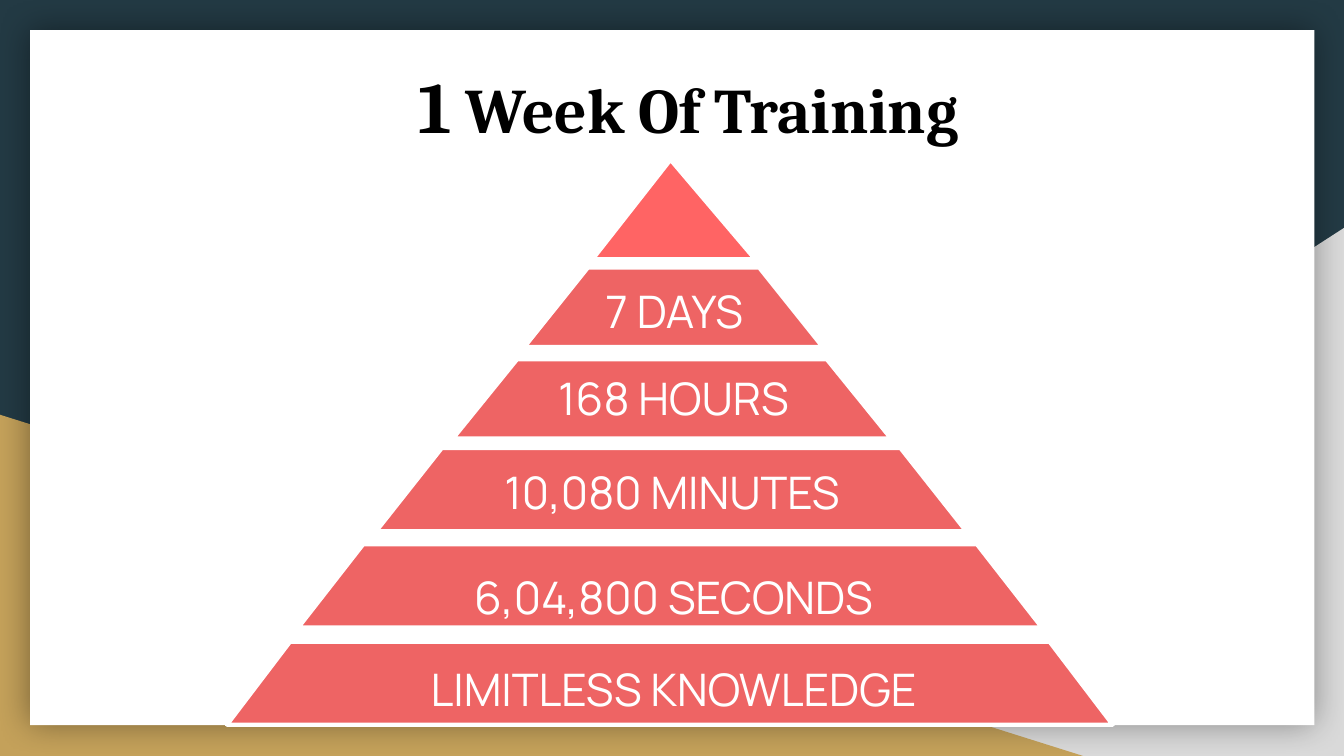
"""Build a slide with a pyramid that breaks one week of training into smaller units."""
import lxml.etree
import pptx
import pptx.dml.color
import pptx.enum.shapes
import pptx.enum.text
import pptx.oxml.ns
import pptx.util

Cm = pptx.util.Cm
Pt = pptx.util.Pt
SHAPE = pptx.enum.shapes.MSO_SHAPE
ANCHOR = pptx.enum.text.MSO_ANCHOR
CENTER = pptx.enum.text.PP_ALIGN.CENTER


def rgb(value):
    """Return the colour for a hex string."""
    return pptx.dml.color.RGBColor.from_string(value)


def add_block(preset, left, top, width, height, fill, outline=None):
    """Add a filled shape without shadow, in centimetres."""
    block = slide.shapes.add_shape(preset, Cm(left), Cm(top), Cm(width), Cm(height))
    block.shadow.inherit = False
    block.fill.solid()
    block.fill.fore_color.rgb = rgb(fill)
    if outline:
        block.line.color.rgb = rgb(outline)
        block.line.width = Pt(2.25)
    else:
        block.line.fill.background()
    return block


deck = pptx.Presentation()
deck.slide_width = Cm(25.4)
deck.slide_height = Cm(14.29)
slide = deck.slides.add_slide(deck.slide_layouts[5])
slide.background.fill.solid()
slide.background.fill.fore_color.rgb = rgb("233A44")

grey_corner = add_block(SHAPE.RIGHT_TRIANGLE, 9.96, 4.31, 15.44, 9.98, "D9D9D9")
grey_corner._element.spPr.find(pptx.oxml.ns.qn("a:xfrm")).set("flipH", "1")
add_block(SHAPE.RIGHT_TRIANGLE, 0, 7.84, 20.47, 6.45, "C4A15A")

panel = add_block(SHAPE.RECTANGLE, 0.57, 0.57, 24.27, 13.14, "FFFFFF")
effects = panel._element.spPr.find(pptx.oxml.ns.qn("a:effectLst"))
glow = lxml.etree.SubElement(effects, pptx.oxml.ns.qn("a:outerShdw"),
                             blurRad=str(Pt(18)), dist="0", algn="ctr", rotWithShape="0")
shade = lxml.etree.SubElement(glow, pptx.oxml.ns.qn("a:srgbClr"), val="000000")
lxml.etree.SubElement(shade, pptx.oxml.ns.qn("a:alpha"), val="40000")

peak = add_block(SHAPE.ISOSCELES_TRIANGLE, 11.2, 3.02, 3.07, 1.88, "FF6464", "FFFFFF")
peak.adjustments[0] = 0.48

tiers = [
    ("7 DAYS", (9.91, 5.06, 5.64, 1.5), 0.8, (10.44, 5.27, 4.6, 1.22), 1),
    ("168 HOURS", (8.56, 6.79, 8.28, 1.5), 0.81, (9.91, 6.9, 5.64, 1.22), 1),
    ("10,080 MINUTES", (7.11, 8.47, 11.15, 1.57), 0.79, (8.56, 8.68, 8.28, 1.22), 1),
    ("6,04,800 SECONDS", (5.64, 10.29, 14.05, 1.57), 0.78, (3.41, 9.91, 18.64, 2.64), 1.1),
    ("LIMITLESS KNOWLEDGE", (4.29, 12.13, 16.74, 1.57), 0.76, (3.41, 11.65, 18.64, 2.64), 1.1),
]
for wording, tier_box, slant, label_box, spacing in tiers:
    tier = add_block(SHAPE.TRAPEZOID, *tier_box, "EE6464", "FFFFFF")
    tier.adjustments[0] = slant
    label = slide.shapes.add_textbox(*map(Cm, label_box)).text_frame
    label.word_wrap = True
    label.vertical_anchor = ANCHOR.MIDDLE
    label.margin_left = label.margin_right = label.margin_top = label.margin_bottom = 0
    line = label.paragraphs[0]
    line.text = wording
    line.alignment = CENTER
    line.line_spacing = spacing
    line.font.name = "Manrope"
    line.font.size = Pt(24)
    line.font.color.rgb = rgb("FFFFFF")

title = slide.shapes.title
slide.shapes._spTree.append(title._element)
title.left, title.top, title.width, title.height = Cm(0.66), Cm(0.89), Cm(24.71), Cm(2.18)
heading = title.text_frame
heading.word_wrap = True
heading.auto_size = pptx.enum.text.MSO_AUTO_SIZE.NONE
heading.vertical_anchor = ANCHOR.TOP
heading.margin_left = heading.margin_right = heading.margin_top = heading.margin_bottom = Cm(0.25)
heading_line = heading.paragraphs[0]
heading_line.alignment = CENTER
heading_line.font.name = "Cambria"
heading_line.font.bold = True
heading_line.font.color.rgb = rgb("000000")
for wording, size in [("1", 39), (" Week Of Training", 34)]:
    run = heading_line.add_run()
    run.text = wording
    run.font.size = Pt(size)

deck.save("out.pptx")
